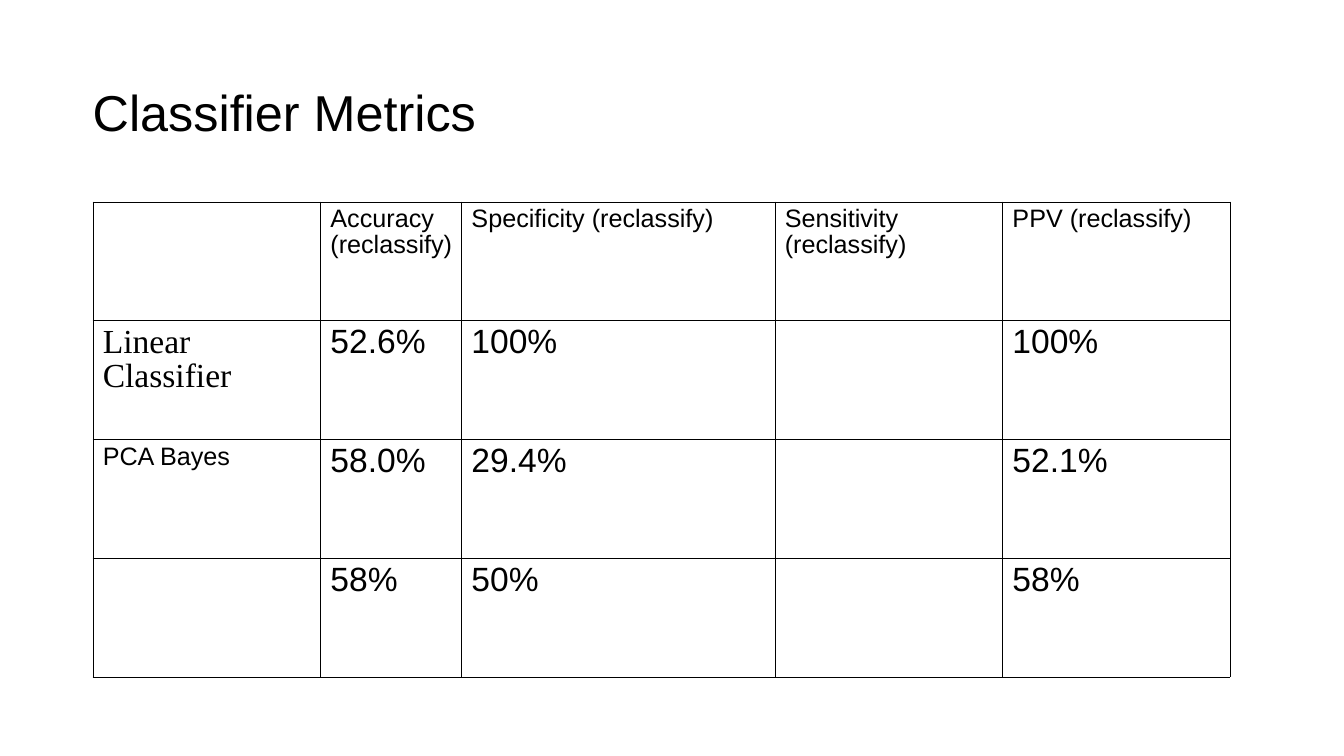
from dataclasses import dataclass

from lxml import etree
from pptx import Presentation
from pptx.dml.color import RGBColor
from pptx.enum import text
from pptx.oxml import ns
from pptx.util import Inches, Pt


@dataclass(frozen=True)
class Theme:
    ink: str = "000000"
    sans: str = "Arial"
    serif: str = "Times New Roman"
    title_size: int = 36
    label_size: int = 18
    value_size: int = 24
    line_spacing: float = 0.93
    rule_width: float = 0.06


class SlideBuilder:
    def __init__(self, slide, theme):
        self.slide = slide
        self.theme = theme

    def set_text(self, frame, words, size, font):
        frame.text = words
        for paragraph in frame.paragraphs:
            paragraph.line_spacing = self.theme.line_spacing
            paragraph.font.size = Pt(size)
            paragraph.font.name = font
            paragraph.font.color.rgb = RGBColor.from_string(self.theme.ink)

    def title(self, words, left, top, width, height):
        heading = self.slide.shapes.add_textbox(
            Inches(left), Inches(top), Inches(width), Inches(height))
        frame = heading.text_frame
        frame.word_wrap = True
        frame.vertical_anchor = text.MSO_ANCHOR.MIDDLE
        frame.margin_left = frame.margin_right = frame.margin_bottom = 0
        frame.margin_top = Inches(0.03)
        self.set_text(frame, words, self.theme.title_size, self.theme.sans)

    def border(self, cell):
        properties = cell._tc.get_or_add_tcPr()
        for position, side in enumerate(("lnL", "lnR", "lnT", "lnB")):
            rule = etree.Element(ns.qn(f"a:{side}"), w=str(Pt(self.theme.rule_width)))
            fill = etree.SubElement(rule, ns.qn("a:solidFill"))
            etree.SubElement(fill, ns.qn("a:srgbClr"), val=self.theme.ink)
            properties.insert(position, rule)

    def table(self, rows, styles, left, top, widths, row_height):
        metrics = self.slide.shapes.add_table(
            len(rows), len(widths), Inches(left), Inches(top),
            Inches(sum(widths)), Inches(row_height * len(rows))).table
        metrics.first_row = metrics.horz_banding = False
        for column, width in zip(metrics.columns, widths):
            column.width = Inches(width)
        for r, row in enumerate(rows):
            metrics.rows[r].height = Inches(row_height)
            for c, words in enumerate(row):
                cell = metrics.cell(r, c)
                cell.margin_left = Inches(0.1)
                cell.margin_right = Inches(0.09)
                cell.margin_top = cell.margin_bottom = Inches(0.05)
                cell.fill.background()
                self.border(cell)
                size, font = styles.get(words, (self.theme.value_size, self.theme.sans))
                self.set_text(cell.text_frame, words, size, font)


def main():
    theme = Theme()
    deck = Presentation()
    deck.slide_width = Inches(13.34)
    deck.slide_height = Inches(7.5)
    builder = SlideBuilder(deck.slides.add_slide(deck.slide_layouts[6]), theme)

    headings = ["", "Accuracy\n(reclassify)", "Specificity (reclassify)",
                "Sensitivity (reclassify)", "PPV (reclassify)"]
    results = [
        ["Linear Classifier", "52.6%", "100%", "", "100%"],
        ["PCA Bayes", "58.0%", "29.4%", "", "52.1%"],
        ["", "58%", "50%", "", "58%"],
    ]
    styles = dict.fromkeys(headings + ["PCA Bayes"], (theme.label_size, theme.sans))
    styles["Linear Classifier"] = (theme.value_size, theme.serif)

    builder.title("Classifier Metrics", 0.92, 0.4, 11.5, 1.45)
    builder.table([headings] + results, styles, 0.92, 2,
                  [2.26, 1.4, 3.11, 2.26, 2.26], 1.18)
    deck.save("out.pptx")


if __name__ == "__main__":
    main()
